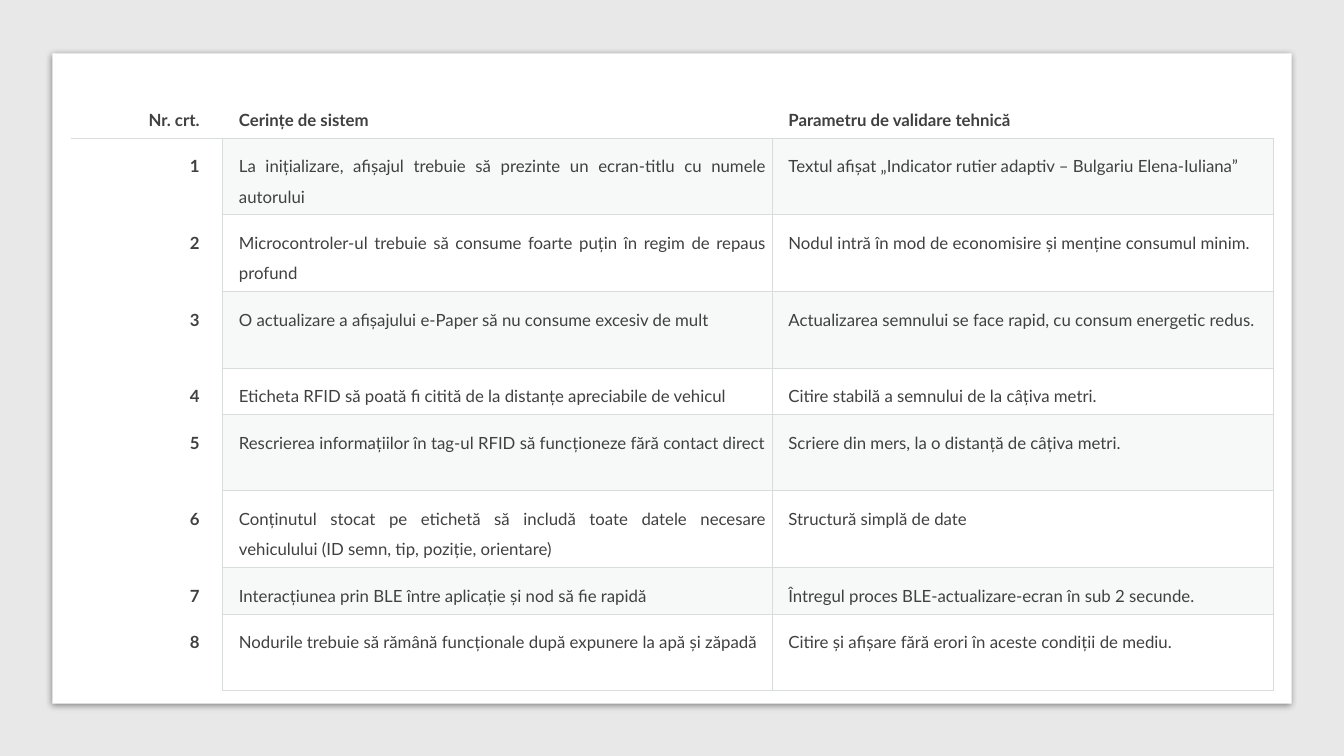
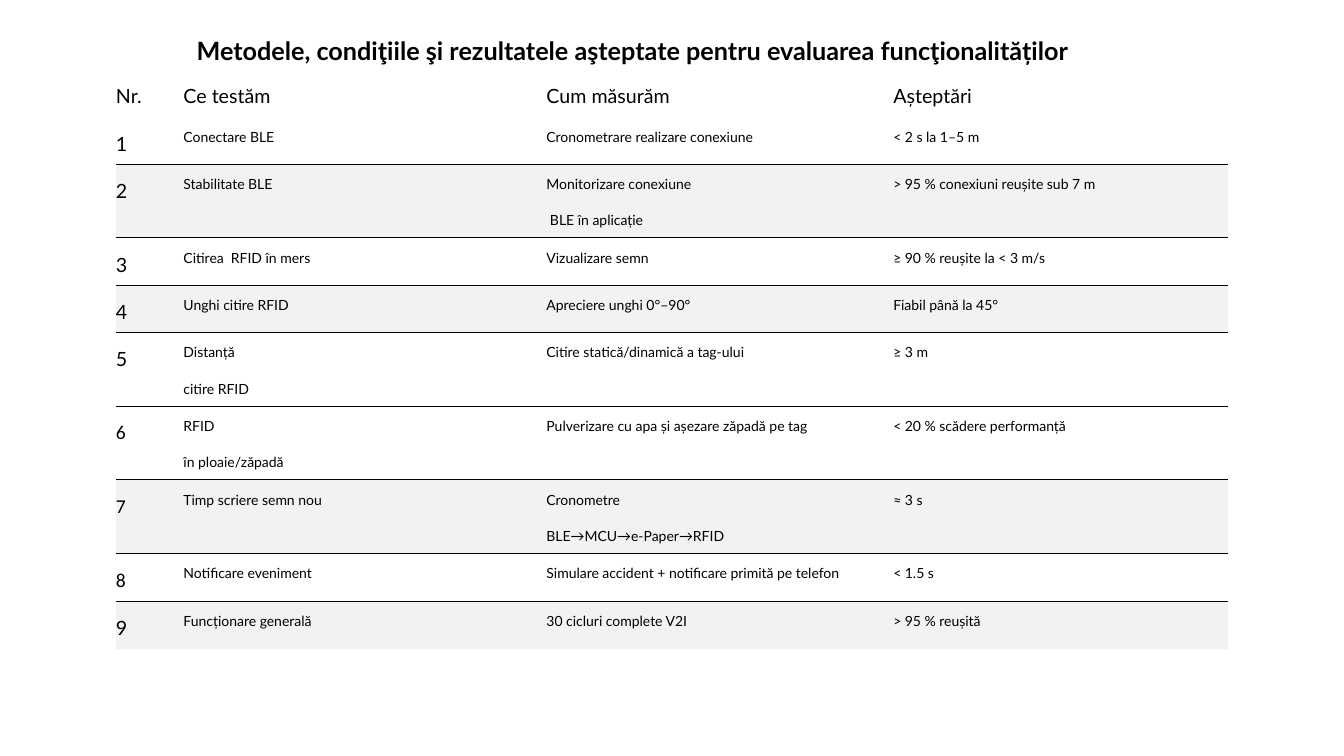
from lxml import etree
from pptx import Presentation
from pptx import util as u
from pptx.dml.color import RGBColor
from pptx.enum import shapes, text
from pptx.oxml.ns import qn

W, H = 13.33, 7.5
FONT = "Lato"
INK, GREY_INK, GRID = "000000", "404040", "D8DCDC"
PAGE, PAPER, BAND, TINT = "E8E8E8", "FFFFFF", "F2F2F2", "F7F8F8"
NO_STYLE = "{2D5ABB26-0587-4C30-8999-92F81FD0307C}"
LEFT, RIGHT = text.PP_ALIGN.JUSTIFY, text.PP_ALIGN.RIGHT

REQUIREMENTS = [
    ("Nr. crt.", "Cerințe de sistem", "Parametru de validare tehnică"),
    ("1", "La inițializare, afișajul trebuie să prezinte un ecran-titlu cu numele autorului",
     "Textul afișat „Indicator rutier adaptiv – Bulgariu Elena-Iuliana”"),
    ("2", "Microcontroler-ul trebuie să consume foarte puțin în regim de repaus profund",
     "Nodul intră în mod de economisire și menține consumul minim."),
    ("3", "O actualizare a afișajului e-Paper să nu consume excesiv de mult",
     "Actualizarea semnului se face rapid, cu consum energetic redus."),
    ("4", "Eticheta RFID să poată fi citită de la distanțe apreciabile de vehicul",
     "Citire stabilă a semnului de la câțiva metri."),
    ("5", "Rescrierea informațiilor în tag-ul RFID să funcționeze fără contact direct",
     "Scriere din mers, la o distanță de câțiva metri."),
    ("6", "Conținutul stocat pe etichetă să includă toate datele necesare vehiculului "
          "(ID semn, tip, poziție, orientare)", "Structură simplă de date"),
    ("7", "Interacțiunea prin BLE între aplicație și nod să fie rapidă",
     "Întregul proces BLE-actualizare-ecran în sub 2 secunde."),
    ("8", "Nodurile trebuie să rămână funcționale după expunere la apă și zăpadă",
     "Citire și afișare fără erori în aceste condiții de mediu."),
]
TESTS = [
    ("Nr.", "Ce testăm", "Cum măsurăm", "Așteptări"),
    ("1", "Conectare BLE", "Cronometrare realizare conexiune", "< 2 s la 1–5 m"),
    ("2", "Stabilitate BLE", "Monitorizare conexiune\n BLE în aplicație",
     "> 95 % conexiuni reușite sub 7 m"),
    ("3", "Citirea  RFID în mers", "Vizualizare semn", "≥ 90 % reușite la < 3 m/s"),
    ("4", "Unghi citire RFID", "Apreciere unghi 0°–90°", "Fiabil până la 45°"),
    ("5", "Distanță\ncitire RFID", "Citire statică/dinamică a tag-ului", "≥ 3 m"),
    ("6", "RFID\nîn ploaie/zăpadă", "Pulverizare cu apa și așezare zăpadă pe tag",
     "< 20 % scădere performanță"),
    ("7", "Timp scriere semn nou", "Cronometre\nBLE→MCU→e-Paper→RFID", "≈ 3 s"),
    ("8", "Notificare eveniment", "Simulare accident + notificare primită pe telefon", "< 1.5 s"),
    ("9", "Funcționare generală", "30 cicluri complete V2I", "> 95 % reușită"),
]


def paint(fill, colour):
    """Solid fill from a hex string, or no fill for None."""
    if colour is None:
        fill.background()
    else:
        fill.solid()
        fill.fore_color.rgb = RGBColor.from_string(colour)


def write_cell(cell, words, size, colour, margins, sides="", line=INK, fill=None,
               bold=False, align=LEFT, font=FONT):
    """Text, borders (sides is a subset of "LRTB", in that order) and fill of one cell."""
    cell.margin_left, cell.margin_top, cell.margin_right, cell.margin_bottom = map(u.Inches, margins)
    for i, part in enumerate(words.split("\n")):
        p = cell.text_frame.add_paragraph() if i else cell.text_frame.paragraphs[0]
        p.alignment, p.line_spacing, p.space_after = align, 1.5, u.Pt(8)
        r = p.add_run()
        r.text = part
        r.font.name, r.font.size, r.font.bold = font, u.Pt(size), bold
        paint(r.font.fill, colour)
    tcPr = cell._tc.get_or_add_tcPr()
    for side in sides:
        ln = etree.SubElement(tcPr, qn("a:ln" + side), w=str(u.Pt(0.75)))
        solid = etree.SubElement(ln, qn("a:solidFill"))
        etree.SubElement(solid, qn("a:srgbClr"), val=line)
    paint(cell.fill, fill)


prs = Presentation()
prs.slide_width, prs.slide_height = u.Inches(W), u.Inches(H)
needs = prs.slides.add_slide(prs.slide_layouts[6])
tests = prs.slides.add_slide(prs.slide_layouts[5])

# Page and paper card
for x, y, w, h, colour in [(0, 0, W, H, PAGE), (0.52, 0.53, 12.29, 6.45, PAPER)]:
    card = needs.shapes.add_shape(shapes.MSO_SHAPE.RECTANGLE, *map(u.Inches, (x, y, w, h)))
    card.shadow.inherit = False
    card.line.fill.background()
    paint(card.fill, colour)
shadow = etree.SubElement(card._element.spPr.find(qn("a:effectLst")), qn("a:outerShdw"),
                          blurRad=str(u.Pt(5)), dist=str(u.Pt(1.4)), dir="5400000")
shade = etree.SubElement(shadow, qn("a:srgbClr"), val=INK)
etree.SubElement(shade, qn("a:alpha"), val="43000")

# Title
title = tests.shapes.title
title.left, title.top, title.width, title.height = map(u.Inches, (1.85, 0.3, 9.63, 0.4))
tf = title.text_frame
tf.word_wrap, tf.vertical_anchor = True, text.MSO_ANCHOR.TOP
tf.auto_size = text.MSO_AUTO_SIZE.NONE
p = tf.paragraphs[0]
p.alignment = text.PP_ALIGN.LEFT
r = p.add_run()
r.text = "Metodele, condiţiile şi rezultatele aşteptate pentru evaluarea funcţionalităților"
r.font.name, r.font.size, r.font.bold = FONT, u.Pt(18), True
paint(r.font.fill, INK)

# Bare tables: a row is one line high, tall rows have one extra line
grids = []
for s, rows, left, top, widths, tall, extra in [
    (needs, REQUIREMENTS, 0.7, 0.91, (1.51, 5.45, 4.97), (1, 2, 3, 5, 6, 8), 0.3),
    (tests, TESTS, 1.15, 0.7, (0.67, 3.6, 3.44, 3.32), (2, 5, 6, 7), 0.27),
]:
    heights = [0.46 + extra * (i in tall) for i in range(len(rows))]
    frame = s.shapes.add_table(len(rows), len(widths), *map(
        u.Inches, (left, top, sum(widths), sum(heights))))
    table = frame.table
    table.first_row = table.horz_banding = False
    table._tbl.tblPr.find(qn("a:tableStyleId")).text = NO_STYLE
    for column, width in zip(table.columns, widths):
        column.width = u.Inches(width)
    for row, height in zip(table.rows, heights):
        row.height = u.Inches(height)
    grids.append(table)

# System requirements: odd rows tinted, numbers outside the grid
for i, row in enumerate(REQUIREMENTS):
    for j, words in enumerate(row):
        number = j == 0
        write_cell(grids[0].cell(i, j), words, 12, GREY_INK,
                   (0.16, 0.08, 0.23 if number else 0.06, 0.08),
                   sides="B" if i == 0 else "R" if number else "LRTB", line=GRID,
                   fill=TINT if i % 2 and not number else None,
                   bold=i == 0 or number, align=RIGHT if number else LEFT)

# Tests: banded rows with a rule above
for i, row in enumerate(TESTS):
    banded = i in (2, 4, 7, 9)
    for j, words in enumerate(row):
        cell = grids[1].cell(i, j)
        write_cell(cell, words, 14 if i == 0 or j == 0 else 10, INK,
                   (0, 0.03 if i else 0.02, 0.06, 0.09),
                   sides="TB" if i == 6 else "T" if banded else "",
                   fill=BAND if banded else None,
                   font="Calibri" if j == 0 and i in (6, 7, 8) else FONT)
        if i == 0:
            cell.vertical_anchor = text.MSO_ANCHOR.BOTTOM

prs.save("out.pptx")
